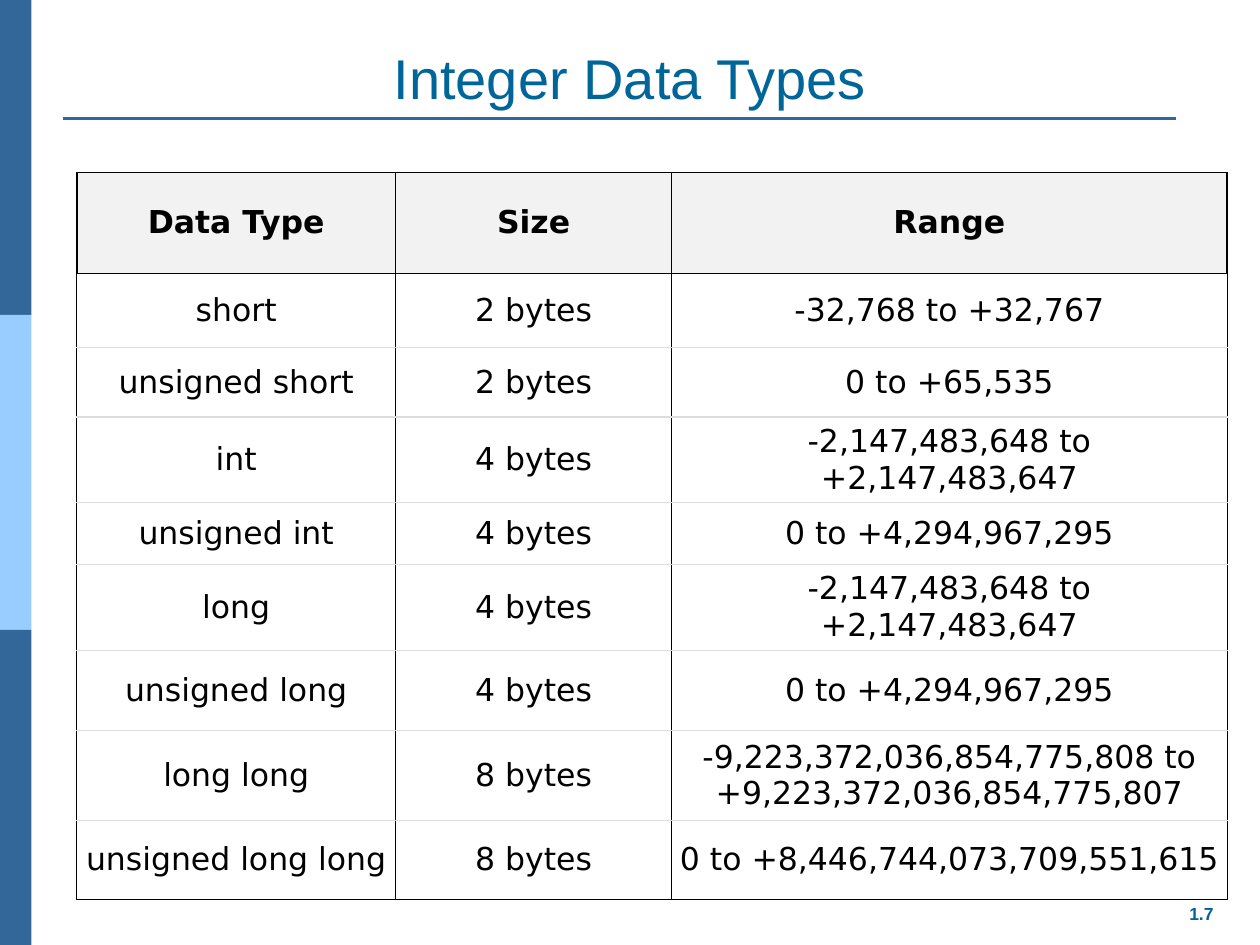
from dataclasses import dataclass

from lxml import etree
from pptx import Presentation
from pptx.dml.color import RGBColor
from pptx.enum import shapes as sh, text as tx
from pptx.oxml import ns
from pptx.util import Inches, Pt


@dataclass(frozen=True)
class Theme:
    dark: str = "336699"
    light: str = "99CCFF"
    title: str = "006699"
    ink: str = "000000"
    rule: str = "DDDDDD"
    head: str = "F2F2F2"
    paper: str = "FFFFFF"
    sans: str = "Arial"
    grid: str = "DejaVu Sans"
    big: int = 32
    mid: int = 18
    small: int = 10


@dataclass(frozen=True)
class Edge:
    color: str
    width: float


@dataclass(frozen=True)
class Kind:
    name: str
    size: str
    span: str
    height: float


T = Theme()
BOLD = Edge(T.ink, 1)
SIDE = Edge(T.ink, 0.75)
FAINT = Edge(T.rule, 0.75)

WIDTHS = (2.53, 2.19, 4.41)
LONG = "-2,147,483,648 to +2,147,483,647"
ULONG = "0 to +4,294,967,295"
KINDS = [
    Kind("Data Type", "Size", "Range", 0.8),
    Kind("short", "2 bytes", "-32,768 to +32,767", 0.59),
    Kind("unsigned short", "2 bytes", "0 to +65,535", 0.55),
    Kind("int", "4 bytes", LONG, 0.57),
    Kind("unsigned int", "4 bytes", ULONG, 0.49),
    Kind("long", "4 bytes", LONG, 0.53),
    Kind("unsigned long", "4 bytes", ULONG, 0.64),
    Kind("long long", "8 bytes",
         "-9,223,372,036,854,775,808 to +9,223,372,036,854,775,807", 0.71),
    Kind("unsigned long long", "8 bytes", "0 to +8,446,744,073,709,551,615", 0.63),
]


def rgb(code: str) -> RGBColor:
    return RGBColor.from_string(code)


def style(para, face: str, size: int, color: str, bold: bool = False) -> None:
    para.alignment = tx.PP_ALIGN.CENTER
    font = para.font
    font.name, font.size, font.bold = face, Pt(size), bold
    font.color.rgb = rgb(color)


def draw_band(slide, top: float, color: str) -> None:
    band = slide.shapes.add_shape(sh.MSO_SHAPE.RECTANGLE, 0, Inches(top),
                                  Inches(0.25), Inches(2.5))
    band.shadow.inherit = False
    band.fill.solid()
    band.fill.fore_color.rgb = rgb(color)
    band.line.fill.background()


def draw_rule(slide) -> None:
    y = Inches(0.94)
    line = slide.shapes.add_connector(sh.MSO_CONNECTOR.STRAIGHT,
                                      Inches(0.5), y, Inches(9.33), y)
    line.line.color.rgb = rgb(T.dark)
    line.line.width = Pt(1.5)
    etree.SubElement(line._element.spPr, ns.qn("a:effectLst"))


def draw_title(slide) -> None:
    title = slide.shapes.title
    title.left, title.top = Inches(0.5), Inches(0.3)
    title.width, title.height = Inches(9), Inches(0.63)
    frame = title.text_frame
    frame.text = "Integer Data Types"
    frame.vertical_anchor = tx.MSO_ANCHOR.BOTTOM
    frame.auto_size = tx.MSO_AUTO_SIZE.NONE
    style(frame.paragraphs[0], T.sans, T.big, T.title)


def draw_number(slide) -> None:
    box = slide.shapes.add_textbox(Inches(9.33), Inches(7.12),
                                   Inches(0.41), Inches(0.25))
    frame = box.text_frame
    frame.word_wrap = False
    frame.auto_size = tx.MSO_AUTO_SIZE.SHAPE_TO_FIT_TEXT
    frame.text = "1.7"
    style(frame.paragraphs[0], T.sans, T.small, T.title, True)


def set_edges(cell, edges: dict[str, Edge]) -> None:
    # Border lines come before the fill in the cell properties
    props = cell._tc.get_or_add_tcPr()
    for spot, side in enumerate("LRTB"):
        edge = edges[side]
        line = etree.Element(ns.qn(f"a:ln{side}"), w=str(Pt(edge.width)))
        fill = etree.SubElement(line, ns.qn("a:solidFill"))
        etree.SubElement(fill, ns.qn("a:srgbClr"), val=edge.color)
        props.insert(spot, line)


def row_edges(row: int) -> dict[str, Edge]:
    if row == 0:
        return dict.fromkeys("LRTB", BOLD)
    return {"L": SIDE, "R": SIDE,
            "T": BOLD if row == 1 else FAINT,
            "B": SIDE if row == len(KINDS) - 1 else FAINT}


def fill_cell(cell, words: str, row: int) -> None:
    head = row == 0
    cell.text = words
    cell.vertical_anchor = tx.MSO_ANCHOR.MIDDLE
    cell.margin_left = cell.margin_right = Inches(0.04)
    cell.margin_top = cell.margin_bottom = Inches(0.04)
    style(cell.text_frame.paragraphs[0], T.grid, T.mid, T.ink, head)
    cell.fill.solid()
    cell.fill.fore_color.rgb = rgb(T.head if head else T.paper)
    set_edges(cell, row_edges(row))


def draw_table(slide) -> None:
    high = sum(kind.height for kind in KINDS)
    table = slide.shapes.add_table(
        len(KINDS), len(WIDTHS), Inches(0.61), Inches(1.37),
        Inches(sum(WIDTHS)), Inches(high)).table
    table.horz_banding = False
    for col, width in zip(table.columns, WIDTHS):
        col.width = Inches(width)
    for row, kind in enumerate(KINDS):
        table.rows[row].height = Inches(kind.height)
        for col, words in enumerate((kind.name, kind.size, kind.span)):
            fill_cell(table.cell(row, col), words, row)


def main() -> None:
    deck = Presentation()
    deck.slide_width, deck.slide_height = Inches(10), Inches(7.5)
    slide = deck.slides.add_slide(deck.slide_layouts[5])

    # Side bands and rule under the title
    for step, color in enumerate((T.dark, T.light, T.dark)):
        draw_band(slide, 2.5 * step, color)
    draw_rule(slide)

    # Content
    draw_number(slide)
    draw_table(slide)
    draw_title(slide)
    deck.save("out.pptx")


if __name__ == "__main__":
    main()
